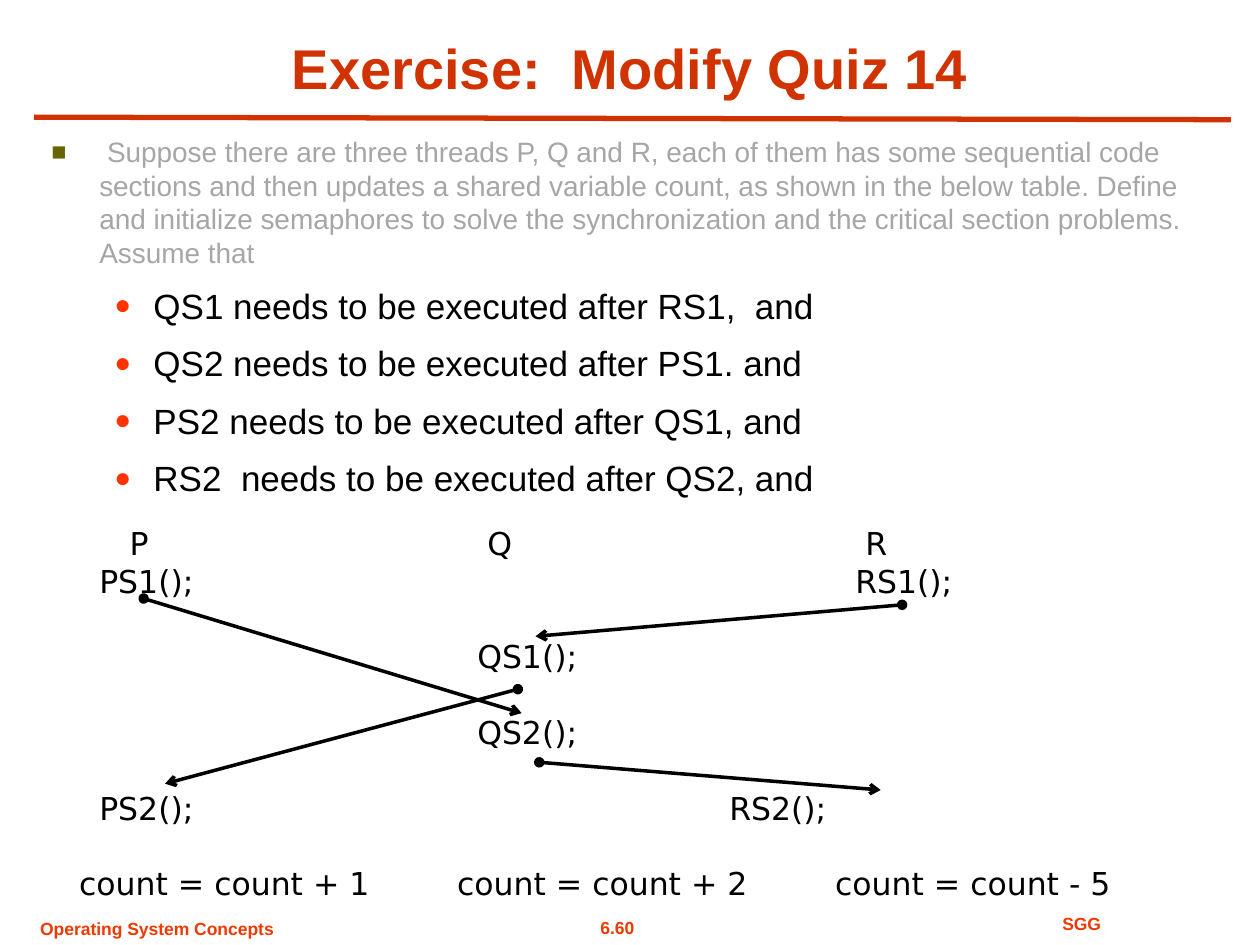
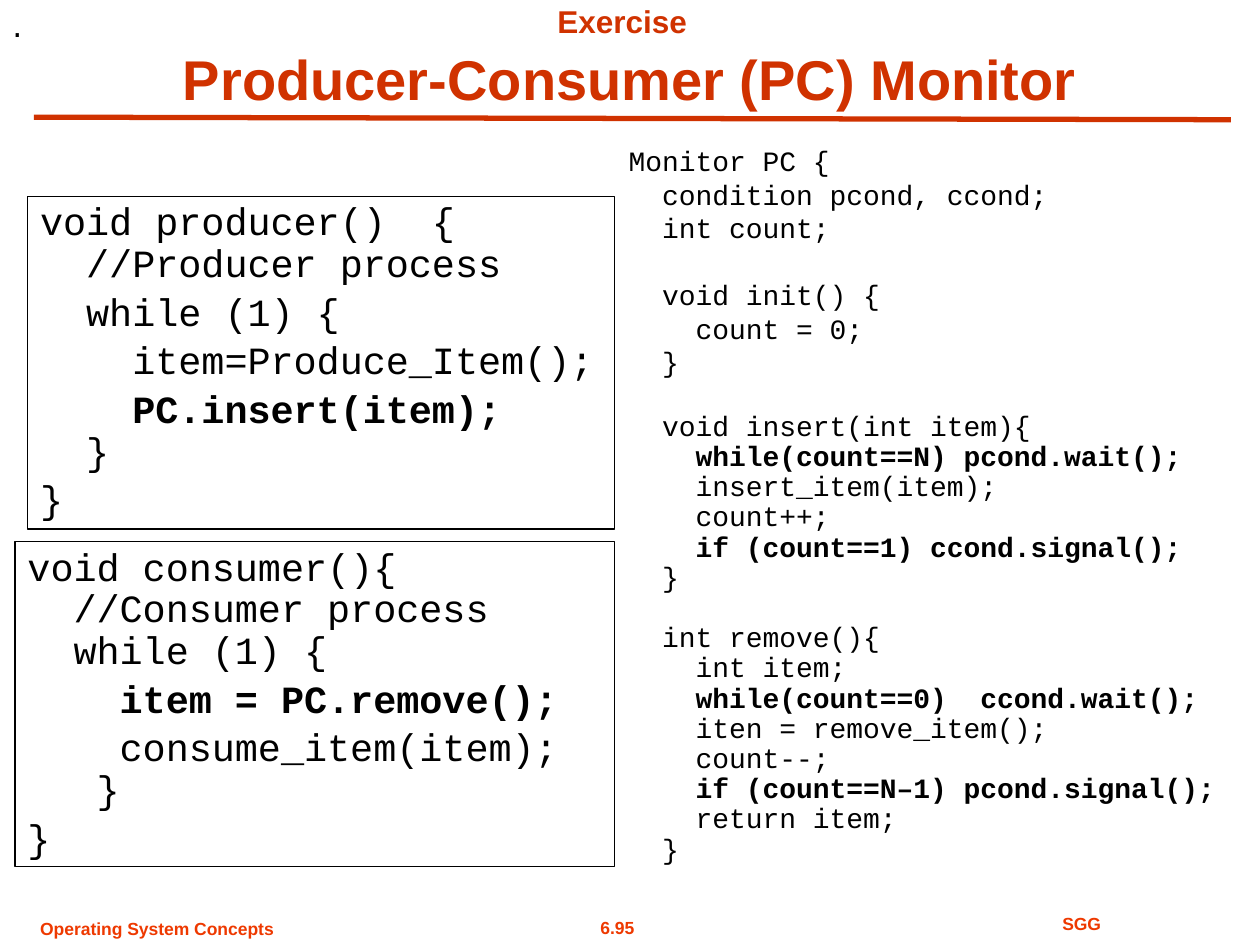
from lxml import etree
from pptx import Presentation
from pptx.dml.color import RGBColor
from pptx.enum.shapes import MSO_CONNECTOR as CONN, MSO_SHAPE as SHAPE
from pptx.enum.text import MSO_ANCHOR as ANCHOR, MSO_AUTO_SIZE as AUTO, PP_ALIGN as ALIGN
from pptx.oxml.ns import qn
from pptx.util import Inches, Pt

RUST = RGBColor(0xD0, 0x32, 0x00)
FOOTER_RED = RGBColor(0xEE, 0x39, 0x00)
BLACK = RGBColor(0, 0, 0)
GRAY = RGBColor(0xA6, 0xA6, 0xA6)
OLIVE = RGBColor(0x66, 0x66, 0x00)
BULLET_RED = RGBColor(0xFF, 0x33, 0x00)
SANS, MONO, DIAGRAM = "Arial", "Courier New", "DejaVu Sans"

QUIZ_TITLE = [[("Exercise:  Modify Quiz 14", 32)]]
MONITOR_TITLE = [[("Exercise", 18), (" ", 32)], [("Producer-Consumer (PC) Monitor", 32)]]

TASK = (
    "Suppose there are three threads P, Q and R, each of them has some sequential code "
    "sections and then updates a shared variable count, as shown in the below table. "
    "Define and initialize semaphores to solve the synchronization and the critical "
    "section problems. Assume that"
)
ORDER_RULES = [
    "QS1 needs to be executed after RS1,  and",
    "QS2 needs to be executed after PS1. and",
    "PS2 needs to be executed after QS1, and",
    "RS2  needs to be executed after QS2, and",
]
THREAD_ROWS = [
    (0, [(0.4, "P"), (3.24, "Q"), (6.24, "R")]),
    (0, [(0.16, "PS1();"), (6.16, "RS1();")]),
    (1, [(3.16, "QS1();")]),
    (1, [(3.16, "QS2();")]),
    (1, [(0.16, "PS2();"), (5.16, "RS2();")]),
    (1, [(0, "count = count + 1"), (3, "count = count + 2"), (6, "count = count - 5")]),
]
ARROWS = [
    (1.14, 4.75, 4.14, 5.66),
    (7.16, 4.8, 4.25, 5.05),
    (4.28, 6.05, 6.99, 6.27),
    (4.11, 5.47, 1.31, 6.22),
]

DECLARATIONS = [
    ("Monitor PC {", False, 0),
    ("  condition pcond, ccond;", False, 0),
    ("  int count;", False, 0),
    ("  void init() {", False, 19.2),
    ("    count = 0;", False, 0),
    ("  }", False, 0),
]
OPERATIONS = [
    ("  void insert(int item){", False, 19.2),
    ("    while(count==N) pcond.wait();", True, 0),
    ("    insert_item(item);", False, 0),
    ("    count++;", False, 0),
    ("    if (count==1) ccond.signal();", True, 0),
    ("  }", False, 0),
    ("  int remove(){", False, 17.2),
    ("    int item;", False, 0),
    ("    while(count==0)  ccond.wait();", True, 0),
    ("    iten = remove_item();", False, 0),
    ("    count--;", False, 0),
    ("    if (count==N–1) pcond.signal();", True, 0),
    ("    return item;", False, 0),
    ("  }", False, 0),
]
PRODUCER = [
    ("void producer()  {", False, 0),
    ("  //Producer process", False, 0),
    ("  while (1) {", False, 4.1),
    ("    item=Produce_Item();", False, 4.1),
    ("    PC.insert(item);", True, 4.1),
    ("  }", False, 0),
    ("}", False, 4.1),
]
CONSUMER = [
    ("void consumer(){", False, 0),
    ("  //Consumer process", False, 0),
    ("  while (1) {", False, 0),
    ("    item = PC.remove();", True, 4.1),
    ("    consume_item(item);", False, 4.1),
    ("   }", False, 0),
    ("}", False, 4.1),
]
CODE_BOXES = [((0.22, 1.56, 4.66, 2.64), PRODUCER), ((0.12, 4.3, 4.76, 2.58), CONSUMER)]


def add_run(p, text, size, color=BLACK, font=SANS, bold=False):
    r = p.add_run()
    r.text = text
    r.font.size = Pt(size)
    r.font.name = font
    r.font.bold = bold
    r.font.color.rgb = color


def next_paragraph(tf):
    return tf.add_paragraph() if tf.paragraphs[0].runs else tf.paragraphs[0]


def add_box(s, box, wrap=True):
    tf = s.shapes.add_textbox(*map(Inches, box)).text_frame
    tf.word_wrap = wrap
    return tf


def add_line(s, points, color, width):
    sp = s.shapes.add_connector(CONN.STRAIGHT, *map(Inches, points))
    sp.line.color.rgb = color
    sp.line.width = Pt(width)
    etree.SubElement(sp._element.spPr, qn("a:effectLst"))
    return sp


def add_arrow(s, points):
    ln = add_line(s, points, BLACK, 2).line._get_or_add_ln()
    etree.SubElement(ln, qn("a:headEnd"), type="oval")
    etree.SubElement(ln, qn("a:tailEnd"), type="arrow")


def set_bullet(p, char, color, left, hang, percent):
    pPr = p._p.get_or_add_pPr()
    pPr.set("marL", str(Inches(left)))
    pPr.set("indent", str(-Inches(hang)))
    clr = etree.SubElement(pPr, qn("a:buClr"))
    etree.SubElement(clr, qn("a:srgbClr"), val=str(color))
    etree.SubElement(pPr, qn("a:buSzPct"), val=str(percent * 1000))
    etree.SubElement(pPr, qn("a:buFont"), typeface=SANS)
    etree.SubElement(pPr, qn("a:buChar"), char=char)


def set_tabs(p, stops):
    tabs = etree.SubElement(p._p.get_or_add_pPr(), qn("a:tabLst"))
    for stop in stops:
        etree.SubElement(tabs, qn("a:tab"), pos=str(Inches(stop)), algn="l")


def add_code(tf, lines, size, spacing=None):
    for text, bold, gap in lines:
        p = next_paragraph(tf)
        if spacing:
            p.line_spacing = spacing
        if gap:
            p.space_before = Pt(gap)
        add_run(p, text, size, font=MONO, bold=bold)


def add_slide(prs, title, title_top, number):
    s = prs.slides.add_slide(prs.slide_layouts[5])
    footers = [
        (number, (4.41, 7.23, 0.98, 0.27), ALIGN.CENTER, False),
        ("SGG", (7.1, 7.2, 2.97, 0.27), ALIGN.CENTER, True),
        ("Operating System Concepts", (0.22, 7.24, 2.05, 0.27), ALIGN.LEFT, False),
    ]
    for text, box, align, wrap in footers:
        p = add_box(s, box, wrap).paragraphs[0]
        p.alignment = align
        add_run(p, text, 10, FOOTER_RED, bold=True)
    add_line(s, (0.27, 0.93, 9.77, 0.95), RUST, 3)

    sp = s.shapes.title
    sp.left, sp.top, sp.width, sp.height = map(Inches, (0.5, title_top, 9, 0.63))
    tf = sp.text_frame
    tf.auto_size = AUTO.NONE
    tf.word_wrap = True
    tf.vertical_anchor = ANCHOR.BOTTOM
    for runs in title:
        p = next_paragraph(tf)
        p.alignment = ALIGN.CENTER
        for text, size in runs:
            add_run(p, text, size, RUST, bold=True)
    return s


def build_quiz(prs):
    s = add_slide(prs, QUIZ_TITLE, 0.22, "6.60")
    tf = add_box(s, (0.31, 1.02, 9.4, 5.24))
    p = tf.paragraphs[0]
    set_bullet(p, "■", OLIVE, 0.38, 0.38, 90)
    add_run(p, " ", 16)
    add_run(p, TASK, 16, GRAY)
    for rule in ORDER_RULES:
        p = tf.add_paragraph()
        p.level = 1
        set_bullet(p, "●", BULLET_RED, 0.81, 0.31, 80)
        p.space_before = Pt(8.8)
        add_run(p, rule, 20)

    tf = add_box(s, (0.53, 4.11, 8.76, 3.1))
    for blank_rows, cells in THREAD_ROWS:
        p = next_paragraph(tf)
        set_tabs(p, [x for x, _ in cells if x])
        if blank_rows:
            p.space_before = Pt(21.6 * blank_rows)
        add_run(p, "".join("\t" * (x > 0) + text for x, text in cells), 18, font=DIAGRAM)
    for points in ARROWS:
        add_arrow(s, points)


def build_monitor(prs):
    s = add_slide(prs, MONITOR_TITLE, 0.31, "6.95")
    tf = add_box(s, (4.89, 1.09, 5.11, 5.87))
    add_code(tf, DECLARATIONS, 16)
    add_code(tf, OPERATIONS, 16, 0.9)
    add_run(add_box(s, (0, 0, 0.51, 0.4)).paragraphs[0], ".", 18, font=DIAGRAM)
    for box, lines in CODE_BOXES:
        sp = s.shapes.add_shape(SHAPE.RECTANGLE, *map(Inches, box))
        sp.shadow.inherit = False
        sp.fill.background()
        sp.line.color.rgb = BLACK
        sp.line.width = Pt(0.75)
        tf = sp.text_frame
        tf.word_wrap = True
        tf.vertical_anchor = ANCHOR.TOP
        add_code(tf, lines, 22, 0.9)
        for p in tf.paragraphs:
            p.alignment = ALIGN.LEFT


def main():
    prs = Presentation()
    prs.slide_width, prs.slide_height = Inches(10), Inches(7.5)
    build_quiz(prs)
    build_monitor(prs)
    prs.save("out.pptx")


if __name__ == "__main__":
    main()
